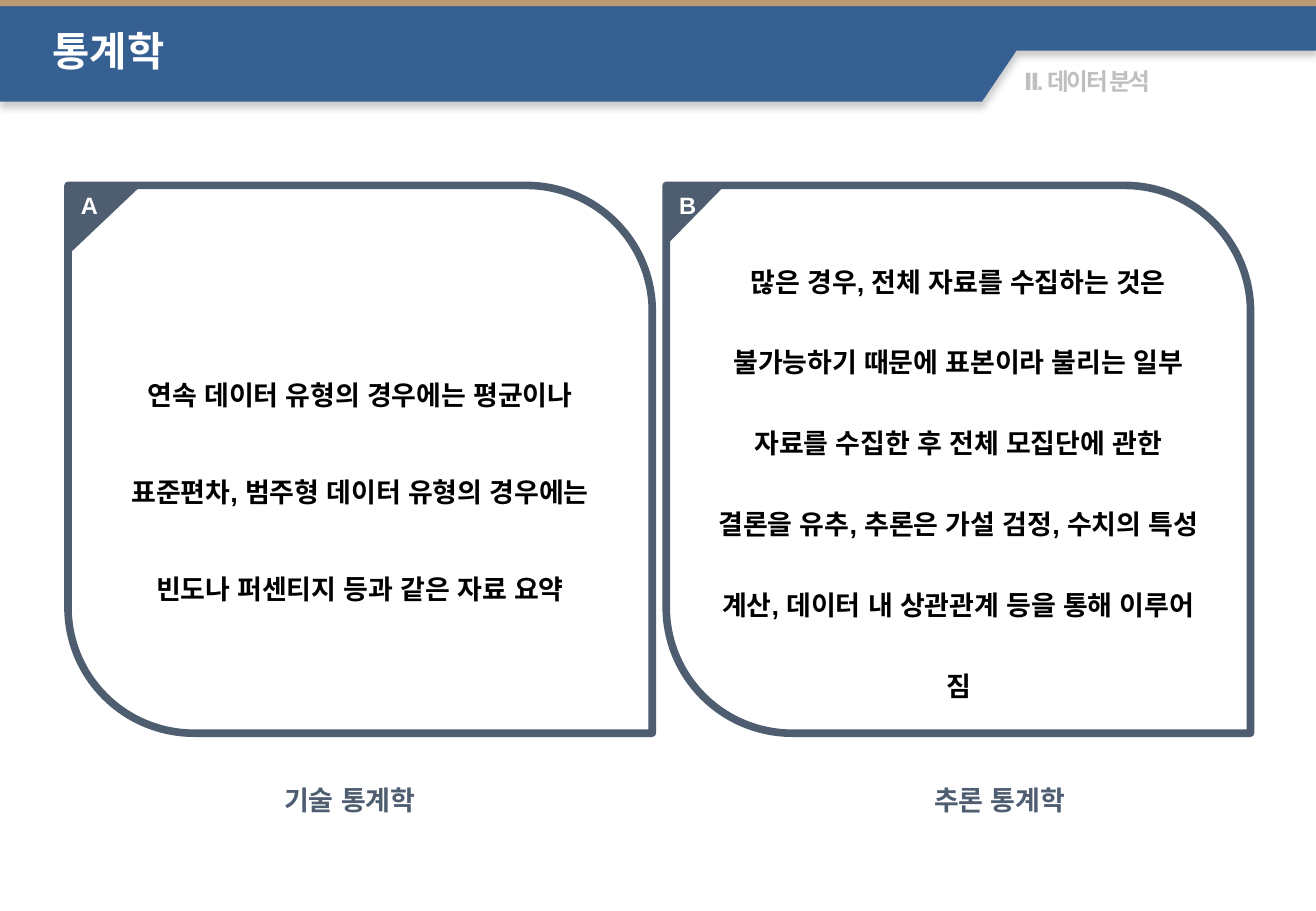
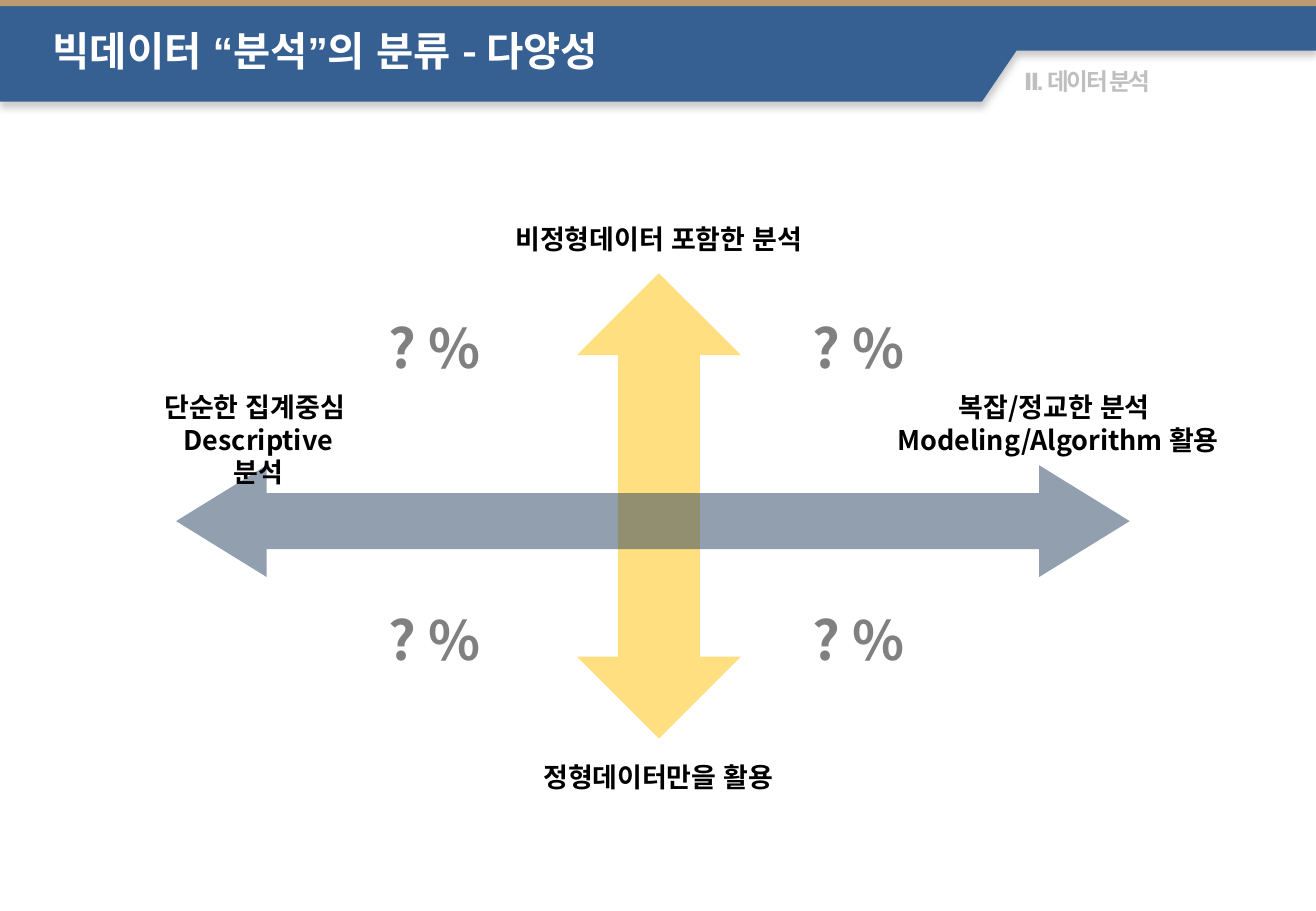
from lxml import etree
from pptx import Presentation
from pptx.dml.color import RGBColor
from pptx.enum.lang import MSO_LANGUAGE_ID
from pptx.enum.shapes import MSO_SHAPE
from pptx.enum.text import MSO_ANCHOR, MSO_AUTO_SIZE, PP_ALIGN
from pptx.oxml.ns import qn
from pptx.util import Pt

RECT = MSO_SHAPE.RECTANGLE
LEAF = MSO_SHAPE.ROUND_2_DIAG_RECTANGLE
WEDGE = MSO_SHAPE.RIGHT_TRIANGLE
TALL = MSO_SHAPE.UP_DOWN_ARROW
WIDE = MSO_SHAPE.LEFT_RIGHT_ARROW
LEFT, MID = PP_ALIGN.LEFT, PP_ALIGN.CENTER
CENTRE = MSO_ANCHOR.MIDDLE
GROW = MSO_AUTO_SIZE.SHAPE_TO_FIT_TEXT
KOREAN = MSO_LANGUAGE_ID.KOREAN

BLUE = RGBColor(0x37, 0x60, 0x92)
TAN = RGBColor(0xBB, 0x9A, 0x71)
SLATE = RGBColor(0x4E, 0x5D, 0x70)
NAVY = RGBColor(0x25, 0x40, 0x61)
GOLD = RGBColor(0xFF, 0xC0, 0x00)
PALE = RGBColor(0xBF, 0xBF, 0xBF)
GREY = RGBColor(0x80, 0x80, 0x80)
WHITE = RGBColor(0xFF, 0xFF, 0xFF)
BLACK = RGBColor(0, 0, 0)

SANS = "Arial"
NOTO = "Noto Sans CJK KR"
WIDTH, HEIGHT = 780, 540


def write(frame, text, size, color, font, align, space=None, track=None):
    """Fill a text frame, one paragraph per line of text."""
    frame.text = text
    for para in frame.paragraphs:
        para.alignment = align
        if space:
            para.line_spacing = space
        face = para.font
        face.size, face.bold, face.name = Pt(size), True, font
        face.color.rgb = color
        face.language_id = KOREAN
        for run in para.runs:
            run.font.language_id = KOREAN
        # Spaces and quotes between Korean words take the narrow face
        props = para._p.pPr.find(qn("a:defRPr"))
        etree.SubElement(props, qn("a:ea")).set("typeface", SANS)
        if track:
            props.set("spc", str(track))


def label(slide, box, text, size, color, font=NOTO, align=MID,
          wrap=False, **style):
    """Text box that grows with its text."""
    frame = slide.shapes.add_textbox(*map(Pt, box)).text_frame
    frame.word_wrap = wrap
    frame.auto_size = GROW
    write(frame, text, size, color, font, align, **style)


def block(slide, kind, box, fill, adjust=(), alpha=None):
    """Preset shape with a plain fill and no line."""
    shape = slide.shapes.add_shape(kind, *map(Pt, box))
    shape.shadow.inherit = False
    shape.fill.solid()
    shape.fill.fore_color.rgb = fill
    shape.line.fill.background()
    for i, value in enumerate(adjust):
        shape.adjustments[i] = value
    if alpha:
        tone = shape._element.spPr.find(".//" + qn("a:srgbClr"))
        etree.SubElement(tone, qn("a:alpha")).set("val", str(alpha * 1000))
    return shape


def cast(shape):
    """Soft grey shadow straight below a shape."""
    shape.shadow.inherit = False
    effects = shape._element.spPr.find(qn("a:effectLst"))
    outer = etree.SubElement(effects, qn("a:outerShdw"), blurRad=str(Pt(4)),
                             dist=str(Pt(3)), dir="5400000", algn="t",
                             rotWithShape="0")
    tone = etree.SubElement(outer, qn("a:srgbClr"), val=str(GREY))
    etree.SubElement(tone, qn("a:alpha"), val="40000")


def start(deck, title):
    """New slide with the shared header band, section name and title."""
    slide = deck.slides.add_slide(deck.slide_layouts[6])
    pen = slide.shapes.build_freeform(0, 0)
    edge = [(WIDTH, 0), (WIDTH, 30), (602.5, 30), (582, 60.3), (0, 60.3)]
    pen.add_line_segments([(Pt(x), Pt(y)) for x, y in edge])
    band = pen.convert_to_shape()
    band.fill.solid()
    band.fill.fore_color.rgb = BLUE
    band.line.fill.background()
    cast(band)
    label(slide, (599.8, 36, 181, 24.5), "Ⅱ. 데이터 분석", 14, PALE, SANS,
          LEFT, True, track=-150)
    block(slide, RECT, (0, 0, WIDTH, 3.7), TAN)
    label(slide, (24.2, 17.2, 598, 31.7), title, 24, WHITE, NOTO,
          LEFT, True, space=0.8)
    return slide


def panel(slide, left, text, space, wedge, mark, name, shift):
    """Leaf-shaped card with a lettered corner and a caption below."""
    top = 109.9
    card = block(slide, LEAF, (left, top, 346.3, 324.7), WHITE, (0, 0.23))
    card.line.color.rgb = SLATE
    card.line.width = Pt(4.5)
    card.text_frame.vertical_anchor = CENTRE
    card.text_frame.word_wrap = True
    write(card.text_frame, text, 16, BLACK, SANS, MID, space)
    block(slide, WEDGE, wedge, SLATE).rotation = 90
    label(slide, (left + 0.6, top, 32, 24.5), mark, 14, WHITE, SANS, LEFT,
          True)
    label(slide, (left + shift, 451.4, 161.3, 32.4), name, 16, SLATE, SANS,
          MID, True, space=1.5)


def main():
    deck = Presentation()
    deck.slide_width, deck.slide_height = Pt(WIDTH), Pt(HEIGHT)

    # Two kinds of statistics
    slide = start(deck, "통계학")
    panel(slide, 40.3,
          "연속 데이터 유형의 경우에는 평균이나 표준편차, 범주형 데이터 "
          "유형의 경우에는 빈도나 퍼센티지 등과 같은 자료 요약",
          3, (41.8, 109.4, 40.3, 42.5), "A", "기술 통계학", 86.4)
    panel(slide, 394.9,
          "많은 경우, 전체 자료를 수집하는 것은 불가능하기 때문에 표본이라 "
          "불리는 일부 자료를 수집한 후 전체 모집단에 관한 결론을 유추, "
          "추론은 가설 검정, 수치의 특성 계산, 데이터 내 상관관계 등을 "
          "통해 이루어 짐",
          2.5, (394.8, 110.2, 35.3, 34.6), "B", "추론 통계학", 117)

    # Crossed axes
    slide = start(deck, "빅데이터 “분석”의 분류 - 다양성")
    block(slide, TALL, (342, 162, 97.2, 275.8), GOLD, (0.695, 0.5), 50)
    block(slide, WIDE, (104.4, 275.8, 565.2, 66.2), NAVY, (0.5, 0.81), 50)

    # Names of the axis ends
    ends = [
        ((288.7, 128.2, 203.8, 26.6), "비정형데이터 포함한 분석", False),
        ((307.4, 447.1, 165.6, 26.6), "정형데이터만을 활용", False),
        ((89.2, 228.2, 128, 46), "단순한 집계중심 \nDescriptive 분석", True),
        ((522, 228.2, 210.2, 46),
         "복잡/정교한 분석 \nModeling/Algorithm 활용", False),
    ]
    for box, text, wrap in ends:
        label(slide, box, text, 16, BLACK, wrap=wrap)

    # Share of each quadrant
    for left in (223.2, 474.2):
        for top in (183, 355.7):
            label(slide, (left, top, 69.1, 46), "? %", 32, GREY)

    deck.save("out.pptx")


if __name__ == "__main__":
    main()
